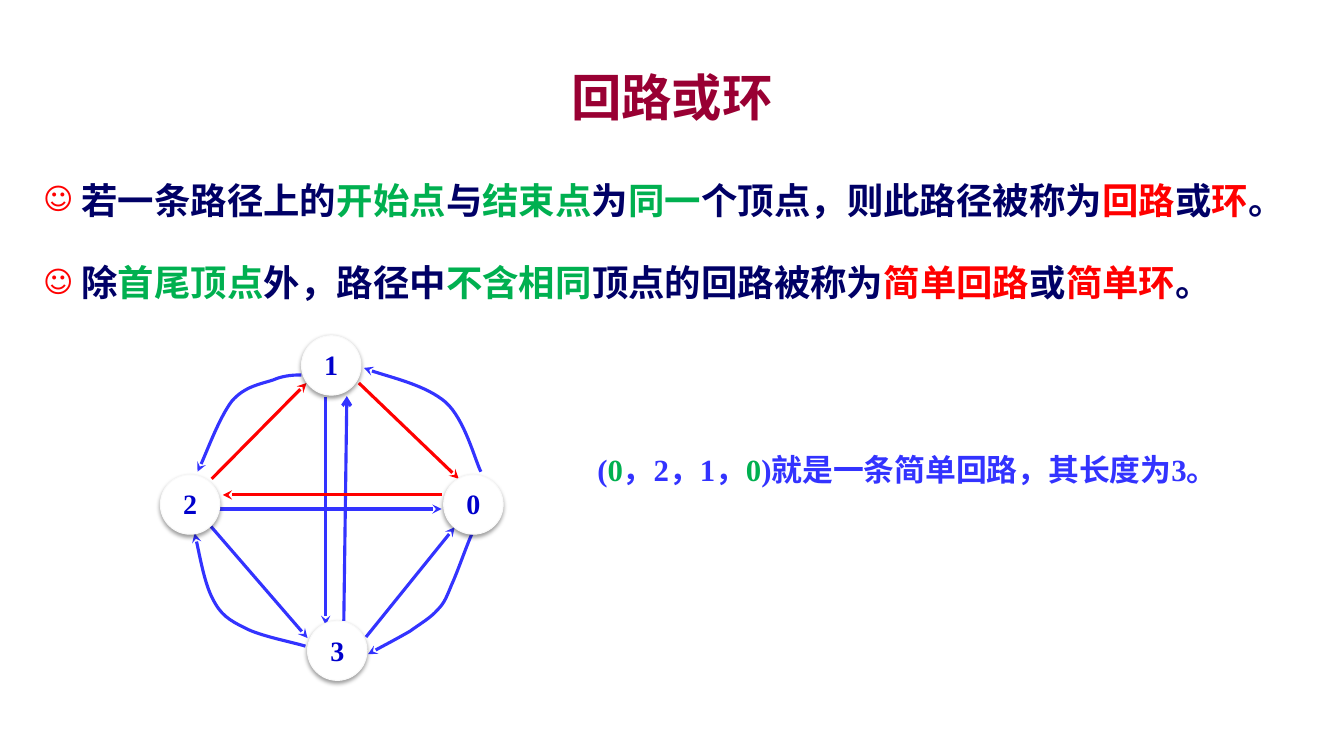
from lxml import etree
from pptx import Presentation
from pptx.dml.color import RGBColor
from pptx.enum.shapes import MSO_CONNECTOR as CONN, MSO_SHAPE as SHAPE
from pptx.enum.text import MSO_ANCHOR as ANCHOR, PP_ALIGN as ALIGN
from pptx.oxml import parse_xml
from pptx.oxml.ns import nsdecls, qn
from pptx.util import Inches, Pt

CJK, SERIF = "Noto Sans CJK SC", "Times New Roman"
NAVY, GREEN, RED, BLUE = "000066", "00B050", "FF0000", "3333FF"
rgb = RGBColor.from_string


def add_runs(p, runs, size, font):
    for text, color in runs:
        r = p.add_run()
        r.text = text
        for name, value in {"size": Pt(size), "name": font, "bold": True}.items():
            setattr(r.font, name, value)
        r.font.color.rgb = rgb(color)
        etree.SubElement(r.font._element, qn("a:ea")).set("typeface", CJK)


def add_text_box(left, top, width, height):
    sp = slide.shapes.add_textbox(*map(Inches, (left, top, width, height)))
    sp.text_frame.word_wrap = True
    return sp.text_frame


prs = Presentation()
prs.slide_width, prs.slide_height = Inches(13.33), Inches(7.5)
slide = prs.slides.add_slide(prs.slide_layouts[6])

# Title
tf = add_text_box(1, 0.58, 11.33, 0.75)
tf.vertical_anchor = ANCHOR.MIDDLE
tf.paragraphs[0].alignment = ALIGN.CENTER
add_runs(tf.paragraphs[0], [("回路或环", "990033")], 36, CJK)

# Definitions
definitions = [
    [("若一条路径上的", NAVY), ("开始点", GREEN), ("与", NAVY), ("结束点", GREEN),
     ("为", NAVY), ("同一", GREEN), ("个顶点，则此路径被称为", NAVY),
     ("回路", RED), ("或", NAVY), ("环", RED), ("。", NAVY)],
    [("除", NAVY), ("首尾顶点", GREEN), ("外，路径中", NAVY), ("不含相同", GREEN),
     ("顶点的回路被称为", NAVY), ("简单回路", RED), ("或", NAVY),
     ("简单环", RED), ("。", NAVY)],
]
tf = add_text_box(0.33, 1.5, 12.67, 1.83)
for i, runs in enumerate(definitions):
    p = tf.add_paragraph() if i else tf.paragraphs[0]
    p.line_spacing, p.space_before, p.space_after = 1.5, Pt(6 if i else 0), Pt(6)
    pPr = p._p.get_or_add_pPr()
    pPr.set("marL", str(Inches(0.38)))
    pPr.set("indent", str(-Inches(0.38)))
    for xml in (f'<a:buClr {nsdecls("a")}><a:srgbClr val="{RED}"/></a:buClr>',
                f'<a:buSzPct {nsdecls("a")} val="80000"/>',
                f'<a:buFont {nsdecls("a")} typeface="DejaVu Sans"/>',
                f'<a:buChar {nsdecls("a")} char="☺"/>'):
        pPr.append(parse_xml(xml))
    add_runs(p, runs, 26, CJK)

# Edges: two points make a straight arrow, more are Bézier control points
edges = [
    (BLUE, "stealth", [(3.23, 3.94), (3.23, 6.2)]),
    (BLUE, "arrow", [(3.41, 6.16), (3.44, 3.93)]),
    (BLUE, "stealth", [(2.17, 5.05), (4.38, 5.05)]),
    (BLUE, "stealth", [(2.09, 5.22), (3.05, 6.33)]),
    (BLUE, "stealth", [(3.63, 6.32), (4.51, 5.23)]),
    (BLUE, "stealth", [(4.68, 5.3), (4.64, 5.38), (4.54, 5.67), (4.48, 5.8),
                       (4.43, 5.92), (4.41, 5.98), (4.34, 6.05),
                       (4.27, 6.13), (4.18, 6.18), (4.07, 6.26),
                       (3.95, 6.33), (3.74, 6.44), (3.65, 6.49)]),
    (BLUE, "stealth", [(2.99, 3.72), (2.94, 3.72), (2.82, 3.72), (2.71, 3.77),
                       (2.59, 3.81), (2.43, 3.83), (2.3, 3.98),
                       (2.18, 4.14), (2.03, 4.54), (1.96, 4.68)]),
    (BLUE, "stealth", [(3.03, 6.41), (2.9, 6.37), (2.58, 6.31), (2.43, 6.23),
                       (2.27, 6.15), (2.19, 6.1), (2.11, 5.94),
                       (2.03, 5.79), (1.96, 5.4), (1.93, 5.29)]),
    (BLUE, "stealth", [(4.77, 4.68), (4.71, 4.56), (4.61, 4.16), (4.42, 3.99),
                       (4.22, 3.82), (3.77, 3.72), (3.61, 3.65)]),
    (RED, "stealth", [(4.38, 4.91), (2.21, 4.91)]),
    (RED, "stealth", [(2.1, 4.75), (3.04, 3.8)]),
    (RED, "stealth", [(3.56, 3.8), (4.55, 4.75)]),
]
for color, head, points in edges:
    points = [(Inches(x), Inches(y)) for x, y in points]
    if len(points) == 2:
        s = slide.shapes.add_connector(CONN.STRAIGHT, *points[0], *points[1])
    else:
        builder = slide.shapes.build_freeform(*points[0])
        builder.add_line_segments(points[1:], close=False)
        s = builder.convert_to_shape()
        s.fill.background()
        steps = list(s._element.iter(qn("a:lnTo")))
        for i in range(0, len(steps), 3):
            curve = etree.Element(qn("a:cubicBezTo"))
            steps[i].addprevious(curve)
            for step in steps[i:i + 3]:
                curve.append(step[0])
                step.getparent().remove(step)
    s.line.color.rgb = rgb(color)
    s.line.width = Pt(2.25)
    etree.SubElement(s.line._get_or_add_ln(), qn("a:tailEnd")).set("type", head)
    etree.SubElement(s._element.spPr, qn("a:effectLst"))

# Vertices
for label, left, top in [("1", 2.99, 3.33), ("0", 4.4, 4.71),
                         ("2", 1.59, 4.71), ("3", 3.05, 6.16)]:
    s = slide.shapes.add_shape(SHAPE.OVAL, *map(Inches, (left, top, 0.59, 0.59)))
    s.fill.solid()
    s.fill.fore_color.rgb = rgb("FFFFFF")
    s.line.color.rgb = rgb("F9F9F9")
    s.line.width = Pt(0.75)
    s._element.spPr.append(parse_xml(
        f'<a:effectLst {nsdecls("a")}><a:outerShdw blurRad="{Pt(3.1)}" '
        f'dist="{Pt(1.6)}" dir="5400000" rotWithShape="0"><a:srgbClr val="000000">'
        '<a:alpha val="38000"/></a:srgbClr></a:outerShdw></a:effectLst>'))
    tf = s.text_frame
    tf.margin_left = tf.margin_right = tf.margin_bottom = 0
    tf.margin_top = Inches(0.12)
    tf.vertical_anchor = ANCHOR.TOP
    p = tf.paragraphs[0]
    p.alignment, p.line_spacing = ALIGN.CENTER, 0.72
    add_runs(p, [(label, "0000CC")], 20, SERIF)

# Example
tf = add_text_box(5.5, 4.42, 7, 0.47)
p = tf.paragraphs[0]
p.alignment = ALIGN.CENTER
add_runs(p, [("(", BLUE), ("0", GREEN), ("，2，1，", BLUE), ("0", GREEN),
             (")就是一条简单回路，其长度为3。", BLUE)], 22, SERIF)

prs.save("out.pptx")
